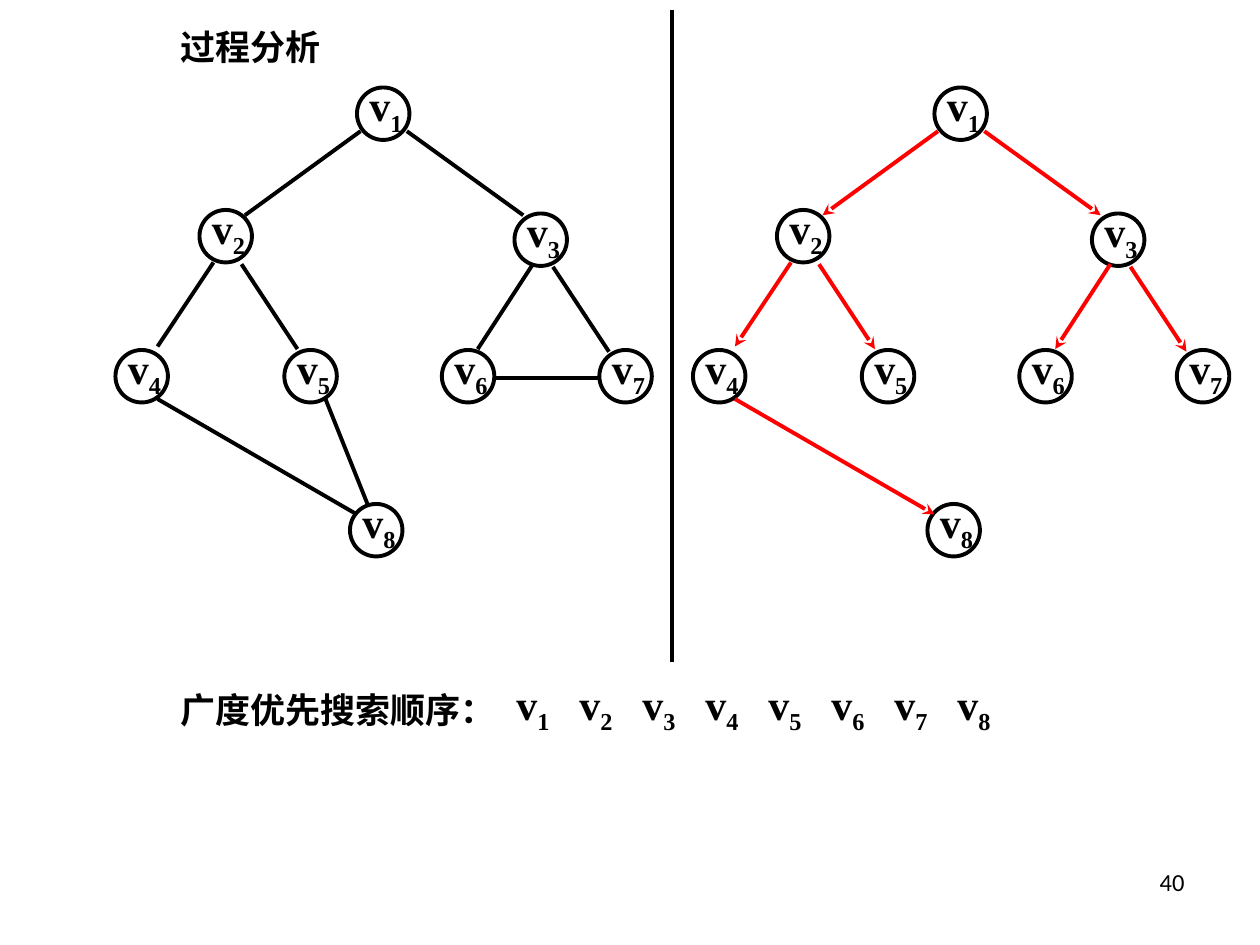
from lxml.etree import SubElement
from pptx import Presentation
from pptx.dml.color import RGBColor
from pptx.enum.shapes import MSO_CONNECTOR, MSO_SHAPE
from pptx.enum.text import MSO_ANCHOR, MSO_AUTO_SIZE, PP_ALIGN
from pptx.oxml.ns import qn
from pptx.util import Pt

COLORS = {"ink": "000000", "tree": "FF0000"}
DIAMETER = 30
TREE_OFFSET = 330

NODES = {
    "1": (204, 50),
    "2": (114, 120),
    "3": (294, 122),
    "4": (66, 200),
    "5": (162.5, 200),
    "6": (252.5, 200),
    "7": (342.5, 200),
    "8": (200, 288),
}
TREE_EDGES = [
    (206, 75, 140, 123),
    (232.5, 75, 299, 123),
    (122, 150, 90, 198),
    (304.5, 151, 273, 199.5),
    (138, 151, 170, 199.5),
    (316, 152.5, 348, 201),
    (90, 228, 204, 294),
]
OTHER_EDGES = [(186, 228, 210, 288), (282, 216, 342, 216)]


class SlideBuilder:
    serif = "Times New Roman"
    sans = "Calibri"
    line_width = 2.25

    def __init__(self, slide):
        self.slide = slide

    def format_frame(self, shape, size, font, bold, align):
        text_frame = shape.text_frame
        text_frame.word_wrap = True
        text_frame.auto_size = MSO_AUTO_SIZE.NONE
        text_frame.vertical_anchor = MSO_ANCHOR.TOP
        paragraph = text_frame.paragraphs[0]
        paragraph.alignment = align
        for run in paragraph.runs:
            run.font.size = Pt(size)
            run.font.name = font
            run.font.bold = bold
            run.font.color.rgb = RGBColor.from_string(COLORS["ink"])

    def title(self, text, left, top, width, height):
        shape = self.slide.shapes.title
        shape.left, shape.top = Pt(left), Pt(top)
        shape.width, shape.height = Pt(width), Pt(height)
        shape.text_frame.text = text
        self.format_frame(shape, 20, self.serif, True, PP_ALIGN.LEFT)

    def text(self, text, left, top, width, height, size=20, font=serif,
             bold=True, align=PP_ALIGN.LEFT):
        shape = self.slide.shapes.add_textbox(Pt(left), Pt(top), Pt(width), Pt(height))
        shape.text_frame.text = text
        self.format_frame(shape, size, font, bold, align)
        return shape

    def vertex_label(self, index, left, top):
        shape = self.text("v", left, top, 54, 40, size=24)
        subscript = shape.text_frame.paragraphs[0].add_run()
        subscript.text = index
        self.format_frame(shape, 24, self.serif, True, PP_ALIGN.LEFT)
        subscript.font._element.set("baseline", "-25000")

    def vertex(self, index, left, top):
        circle = self.slide.shapes.add_shape(
            MSO_SHAPE.OVAL, Pt(left), Pt(top), Pt(DIAMETER), Pt(DIAMETER))
        circle.shadow.inherit = False
        circle.fill.background()
        circle.line.color.rgb = RGBColor.from_string(COLORS["ink"])
        circle.line.width = Pt(self.line_width)
        self.vertex_label(index, left, top - 8)

    def line(self, start_x, start_y, end_x, end_y, color="ink", arrow=False):
        connector = self.slide.shapes.add_connector(
            MSO_CONNECTOR.STRAIGHT, Pt(start_x), Pt(start_y), Pt(end_x), Pt(end_y))
        connector.line.color.rgb = RGBColor.from_string(COLORS[color])
        connector.line.width = Pt(self.line_width)
        if arrow:
            SubElement(connector.line._get_or_add_ln(), qn("a:tailEnd"), type="stealth")
        SubElement(connector._element.spPr, qn("a:effectLst"))


def main():
    presentation = Presentation()
    presentation.slide_width = Pt(720)
    presentation.slide_height = Pt(540)
    slide = presentation.slides.add_slide(presentation.slide_layouts[5])
    builder = SlideBuilder(slide)

    builder.title("过程分析", 96, 11, 294, 32)
    builder.line(384, 6, 384, 378)

    for index, (left, top) in NODES.items():
        builder.vertex(index, left, top)
        builder.vertex(index, left + TREE_OFFSET, top)
    for edge in TREE_EDGES + OTHER_EDGES:
        builder.line(*edge)
    for start_x, start_y, end_x, end_y in TREE_EDGES:
        builder.line(start_x + TREE_OFFSET, start_y, end_x + TREE_OFFSET, end_y,
                     color="tree", arrow=True)

    builder.text("广度优先搜索顺序：", 96, 390, 192, 32)
    for position, index in enumerate(NODES):
        builder.vertex_label(index, 288 + 36 * position, 384)

    builder.text("40", 516, 492, 168, 37.5, size=14, font=builder.sans,
                 bold=False, align=PP_ALIGN.RIGHT)
    presentation.save("out.pptx")


if __name__ == "__main__":
    main()
